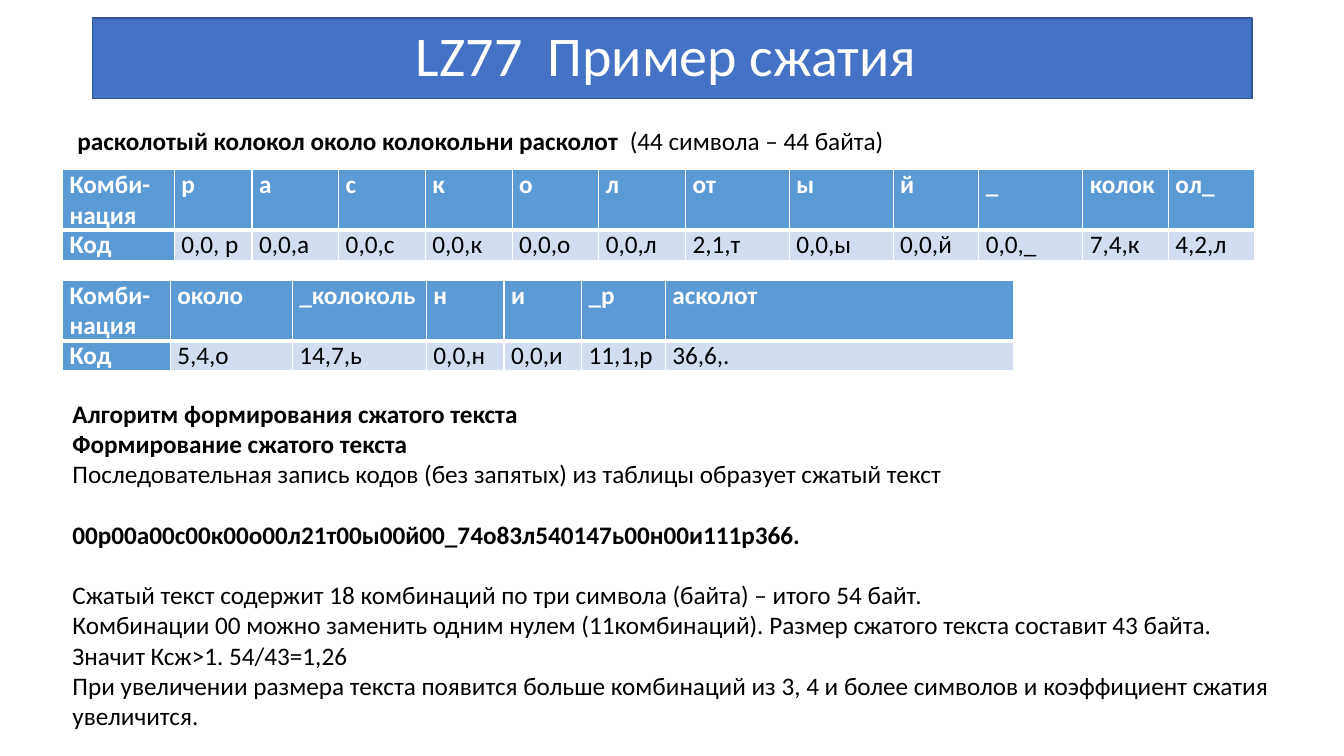
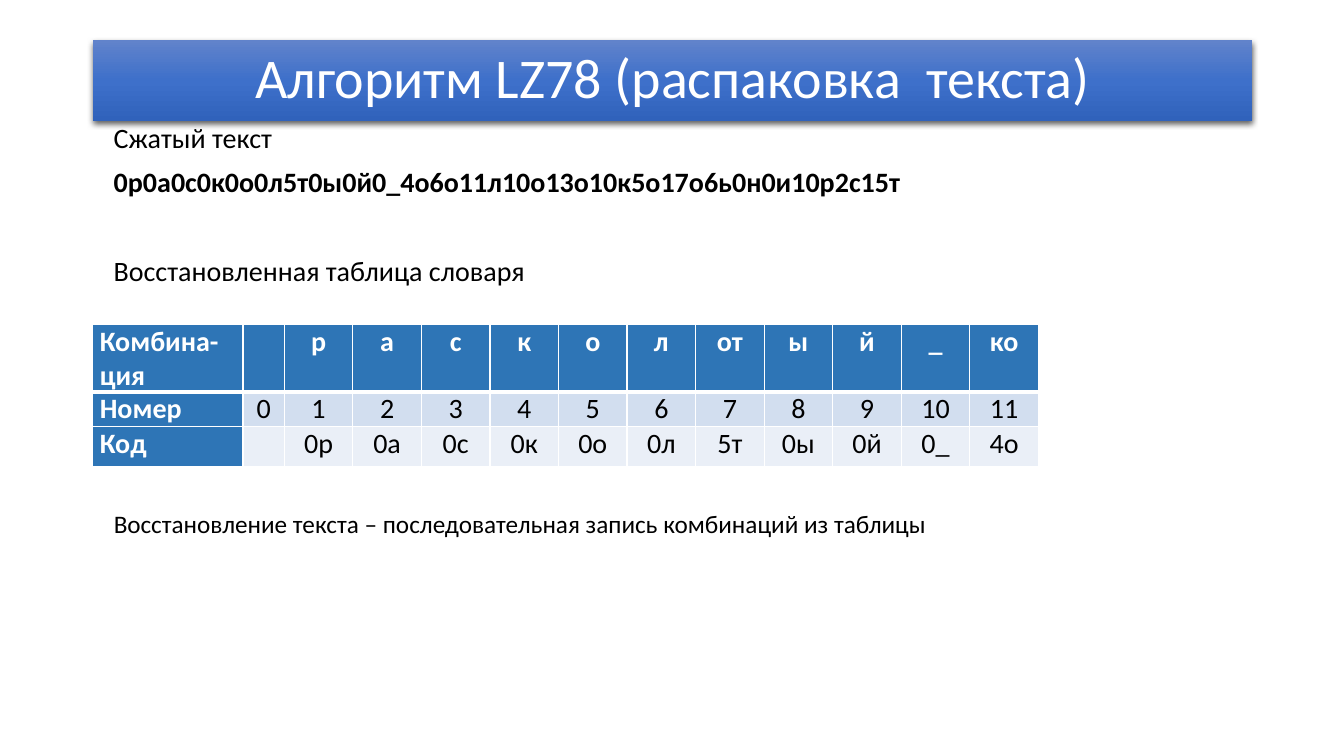
from copy import deepcopy
from dataclasses import dataclass

from pptx import Presentation
from pptx.dml.color import RGBColor
from pptx.enum.shapes import MSO_SHAPE
from pptx.enum.text import MSO_ANCHOR, PP_ALIGN
from pptx.oxml import parse_xml
from pptx.oxml.ns import nsdecls, qn
from pptx.util import Pt

EMU_PER_PX = 9144


@dataclass(frozen=True)
class Theme:
    font: str = "Calibri"
    title_size: int = 40
    lead_size: int = 20
    text_size: int = 18
    text: str = "000000"
    white: str = "FFFFFF"
    title_fill: str = "4472C4"
    title_line: str = "325491"
    title_gradient: tuple = ((0, "6183CB"), (0.5, "3E70CA"), (1, "3062BB"))
    light_header: str = "5B9BD5"
    dark_header: str = "2E75B6"
    bands: tuple = ("D2DEEF", "EAEFF7")


THEME = Theme()
TITLE_BOX = {"left": 92, "width": 1150, "height": 80}
CELL_FORMAT = {"margin_left": 7, "margin_right": 7, "margin_top": 0, "margin_bottom": 0}
PLAIN_TABLE = {"first_row": False, "horz_banding": False}


def px(length):
    return round(length * EMU_PER_PX)


def rgb(value):
    return RGBColor.from_string(value)


def apply(target, values):
    for name, value in values.items():
        setattr(target, name, value)


def style_font(font, size, color=THEME.text, bold=False):
    apply(font, {"name": THEME.font, "size": Pt(size), "bold": bold})
    font.color.rgb = rgb(color)


def add_title(slide, text, top):
    band = slide.shapes.add_shape(
        MSO_SHAPE.RECTANGLE, px(TITLE_BOX["left"]), px(top),
        px(TITLE_BOX["width"]), px(TITLE_BOX["height"]))
    band.shadow.inherit = False
    band.fill.solid()
    band.fill.fore_color.rgb = rgb(THEME.title_fill)
    band.line.color.rgb = rgb(THEME.title_line)
    band.line.width = Pt(1)
    apply(band.text_frame, {"word_wrap": True, "vertical_anchor": MSO_ANCHOR.MIDDLE})
    heading = band.text_frame.paragraphs[0]
    apply(heading, {"alignment": PP_ALIGN.CENTER, "line_spacing": 0.9})
    run = heading.add_run()
    run.text = text
    style_font(run.font, THEME.title_size, THEME.white)
    return band


def raise_title(band):
    band.line.fill.background()
    band.fill.gradient()
    band.fill.gradient_angle = 270
    properties = band.element.spPr
    stops = properties.find(".//" + qn("a:gsLst"))
    stops.append(deepcopy(stops[0]))
    for stop, (position, color) in zip(band.fill.gradient_stops, THEME.title_gradient):
        stop.position = position
        stop.color.rgb = rgb(color)
    properties.find(qn("a:effectLst")).append(parse_xml(
        f'<a:outerShdw {nsdecls("a")} blurRad="{Pt(4.5)}" dist="{Pt(1.5)}" '
        f'dir="5400000" algn="ctr" rotWithShape="0"><a:srgbClr val="{THEME.text}">'
        '<a:alpha val="63000"/></a:srgbClr></a:outerShdw>'))


def add_text(slide, box, paragraphs, size=THEME.text_size):
    frame = slide.shapes.add_textbox(*map(px, box)).text_frame
    frame.word_wrap = True
    for index, (runs, paragraph_format) in enumerate(paragraphs):
        paragraph = frame.paragraphs[0] if index == 0 else frame.add_paragraph()
        apply(paragraph, paragraph_format)
        for text, bold in runs:
            run = paragraph.add_run()
            run.text = text
            style_font(run.font, size, bold=bold)


def set_borders(cell, row):
    widths = {"lnL": 1, "lnR": 1, "lnT": 3 if row == 1 else 1, "lnB": 3 if row == 0 else 1}
    properties = cell._tc.get_or_add_tcPr()
    for index, (side, width) in enumerate(widths.items()):
        properties.insert(index, parse_xml(
            f'<a:{side} {nsdecls("a")} w="{Pt(width)}"><a:solidFill>'
            f'<a:srgbClr val="{THEME.white}"/></a:solidFill></a:{side}>'))


def add_code_table(slide, left, top, widths, heights, rows, header_fill, size,
                   code_alignment=PP_ALIGN.LEFT):
    table = slide.shapes.add_table(
        len(rows), len(widths), px(left), px(top), px(sum(widths)), px(sum(heights))).table
    apply(table, PLAIN_TABLE)
    for column, width in zip(table.columns, widths):
        column.width = px(width)
    for row, height in zip(table.rows, heights):
        row.height = px(height)
    for row, texts in enumerate(rows):
        for column, text in enumerate(texts):
            cell = table.cell(row, column)
            is_header = row == 0 or column == 0
            apply(cell, {name: px(value) for name, value in CELL_FORMAT.items()})
            cell.fill.solid()
            cell.fill.fore_color.rgb = rgb(header_fill if is_header else THEME.bands[row - 1])
            set_borders(cell, row)
            cell.text = text
            for paragraph in cell.text_frame.paragraphs:
                paragraph.alignment = code_alignment if column else PP_ALIGN.LEFT
                style_font(paragraph.font, size, THEME.white if is_header else THEME.text,
                           is_header)
                for run in paragraph.runs:
                    style_font(run.font, size, THEME.white if is_header else THEME.text,
                               is_header)


def build_compression(slide):
    add_title(slide, "LZ77  Пример сжатия ", 18)
    add_text(slide, (67, 119, 1204, 40), [
        ([("расколотый колокол около колокольни расколот  ", True),
          ("(44 символа – 44 байта)", False)], {}),
    ])
    tables = [
        (168, [111, 77, *[86] * 5, 103, 103, 85, 103, 85, 85],
         ["р", "а", "с", "к", "о", "л", "от", "ы", "й", "_", "колок", "ол_"],
         ["0,0, р", "0,0,а", "0,0,с", "0,0,к", "0,0,о", "0,0,л", "2,1,т", "0,0,ы",
          "0,0,й", "0,0,_", "7,4,к", "4,2,л"]),
        (278, [107, 121, 133, 77, 77, 83, 345],
         ["около", "_колоколь", "н", "и", "_р", "асколот"],
         ["5,4,о", "14,7,ь", "0,0,н", "0,0,и", "11,1,р", "36,6,."]),
    ]
    for top, widths, combinations, codes in tables:
        add_code_table(slide, 62, top, widths, [60, 30],
                       [["Комби-\nнация", *combinations], ["Код", *codes]],
                       THEME.light_header, THEME.text_size)
    after_gap = {"space_before": Pt(21.6)}
    explanation = [
        ("Алгоритм формирования сжатого текста", True, {}),
        ("Формирование сжатого текста", True, {}),
        ("Последовательная запись кодов (без запятых) из таблицы образует сжатый текст",
         False, {}),
        ("00р00а00с00к00о00л21т00ы00й00_74о83л540147ь00н00и111р366.", True, after_gap),
        ("Сжатый текст содержит 18 комбинаций по три символа (байта) – итого 54 байт.",
         False, after_gap),
        ("Комбинации 00 можно заменить одним нулем (11комбинаций). Размер сжатого текста "
         "составит 43 байта. Значит Ксж>1. 54/43=1,26", False, {}),
        ("При увеличении размера текста появится больше комбинаций из 3, 4 и более символов "
         "и коэффициент сжатия увеличится.", False, {}),
    ]
    add_text(slide, (62, 390, 1209, 345),
             [([(text, bold)], spacing) for text, bold, spacing in explanation])


def build_unpacking(slide):
    raise_title(add_title(slide, "Алгоритм LZ78 (распаковка  текста)", 40))
    close = {"line_spacing": 0.9, "space_before": Pt(10)}
    add_text(slide, (103, 118, 1150, 190), [
        ([("Сжатый текст", False)], close),
        ([("0р0а0с0к0о0л5т0ы0й0_4о6о11л10о13о10к5о17о6ь0н0и10р2с15т", True)], close),
        ([("Восстановленная таблица словаря", False)], {**close, "space_before": Pt(42)}),
    ], THEME.lead_size)
    combinations = ["р", "а", "с", "к", "о", "л", "от", "ы", "й", "_", "ко"]
    codes = ["0р", "0а", "0с", "0к", "0о", "0л", "5т", "0ы", "0й", "0_", "4о"]
    numbers = [str(number) for number in range(len(codes) + 1)]
    add_code_table(slide, 92, 322, [149, 41, *[68] * len(codes)], [67, 34, 40],
                   [["Комбина-ция", "", *combinations], ["Номер", *numbers],
                    ["Код", "", *codes]],
                   THEME.dark_header, THEME.lead_size, PP_ALIGN.CENTER)
    add_text(slide, (103, 499, 972, 40), [
        ([("Восстановление текста – последовательная запись комбинаций из таблицы", False)], {}),
    ])


def main():
    deck = Presentation()
    apply(deck, {"slide_width": px(1333), "slide_height": px(750)})
    for build in (build_compression, build_unpacking):
        build(deck.slides.add_slide(deck.slide_layouts[6]))
    deck.save("out.pptx")


if __name__ == "__main__":
    main()
